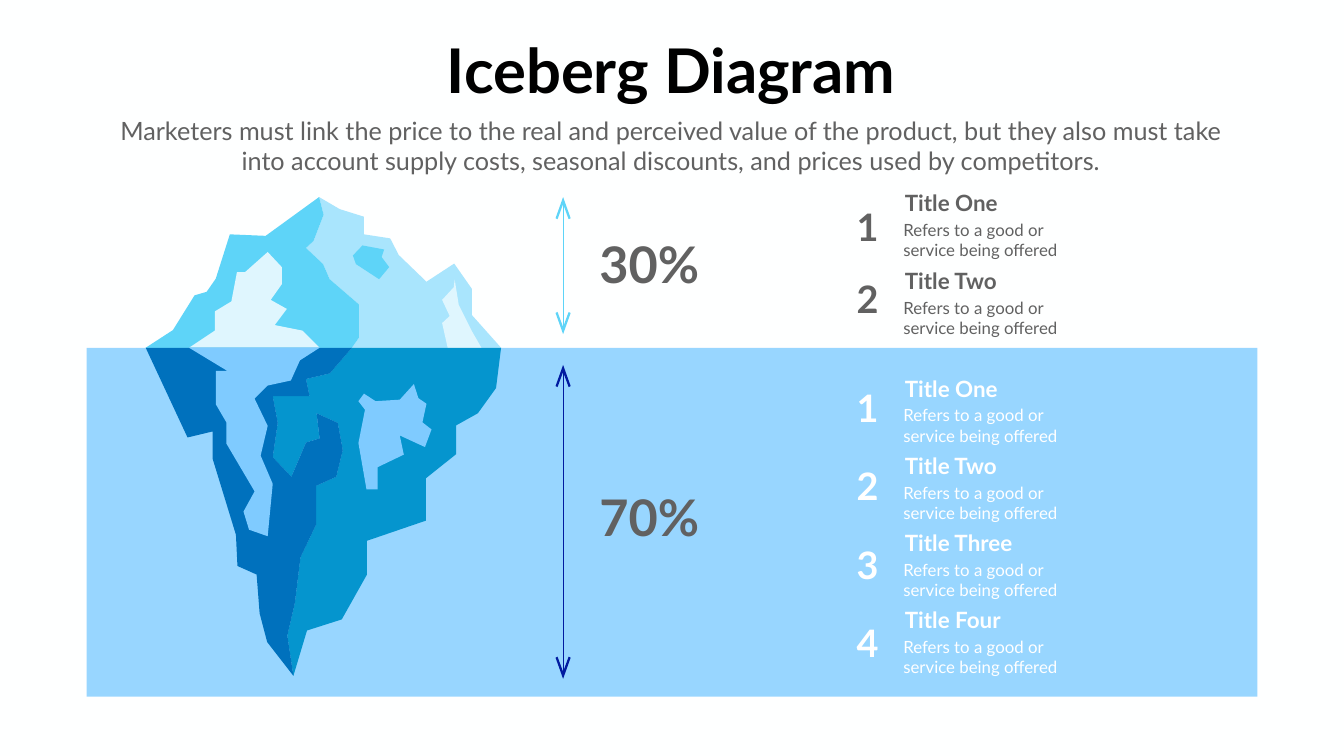
"""Build an iceberg diagram slide on a grid of 2666 columns by 1500 rows."""
from typing import NamedTuple

import pptx
import pptx.dml.color
import pptx.enum.shapes
import pptx.enum.text
import pptx.oxml.ns
import pptx.util
from lxml import etree

COLS, ROWS = 2666, 1500
CELL = pptx.util.Inches(0.01)
FONT = "Lato"
COLORS = {
    "paper": "FEFFFF", "sea": "009AFF", "ink": "000000", "grey": "616161", "white": "FFFFFF",
    "ice": "A9E5FD", "sky": "5ED4F8", "frost": "DFF6FE",
    "teal": "0595CE", "deep": "0071BD", "light": "7FCBFF", "navy": "011BA0",
}
CENTER = pptx.enum.text.PP_ALIGN.CENTER
LEFT = pptx.enum.text.PP_ALIGN.LEFT
WATER = 690
ARROW_COL = 1117


class Facet(NamedTuple):
    color: str
    points: list[tuple[int, int]]


class Span(NamedTuple):
    label: str
    top: int
    bottom: int
    color: str
    label_row: int


class Group(NamedTuple):
    titles: list[str]
    color: str
    title_row: int
    title_pitch: int
    number_row: int
    number_pitch: int


class Label(NamedTuple):
    text: str
    col: int
    row: int
    width: int
    height: int
    size: int
    color: str = "grey"
    bold: bool = True
    align: pptx.enum.text.PP_ALIGN = CENTER
    wrap: bool = True


UPPER_RIDGE = [(633, 391), (642, 426), (622, 478), (607, 492), (641, 524), (654, 554),
               (712, 604), (712, 670), (698, WATER)]
UPPER_LEFT = [(289, WATER), (343, 655), (386, 586), (410, 579), (428, 553), (456, 465), (527, 468)]
UPPER_RIGHT = [(994, WATER), (936, 625), (936, 573), (901, 523), (846, 559), (791, 506),
               (774, 473), (722, 465), (722, 430), (674, 415)]
LOWER_RIDGE = [(698, WATER), (654, 741), (607, 752), (614, 786), (541, 786), (551, 839), (541, 907),
               (578, 946), (607, 878), (634, 870), (628, 820), (670, 839), (680, 893), (667, 946),
               (627, 964), (627, 1041), (596, 1106), (585, 1196), (570, 1261), (582, 1341)]
LOWER_LEFT = [(530, 1274), (515, 1217), (509, 1140), (471, 1123), (468, 1061), (422, 911),
              (422, 856), (372, 868), (289, WATER)]
LOWER_RIGHT = [(609, 1251), (678, 1229), (728, 1140), (728, 1073), (845, 1033), (845, 949),
               (905, 901), (905, 844), (948, 820), (984, 770), (994, WATER)]
FACETS = [
    Facet("ice", UPPER_RIDGE + UPPER_RIGHT),
    Facet("sky", UPPER_RIDGE + UPPER_LEFT),
    Facet("frost", [(375, WATER), (426, 656), (426, 618), (459, 598), (470, 540), (486, 540),
                    (531, 500), (559, 530), (559, 564), (537, 595), (569, 613), (545, 645),
                    (600, 656), (634, WATER)]),
    Facet("sky", [(752, 554), (772, 530), (757, 510), (762, 495), (719, 487), (700, 507), (706, 524)]),
    Facet("frost", [(902, 555), (910, 605), (936, 657), (955, WATER), (888, WATER), (877, 641),
                    (892, 627), (877, 595), (900, 570)]),
    Facet("teal", LOWER_RIDGE + LOWER_RIGHT),
    Facet("deep", LOWER_RIDGE + LOWER_LEFT),
    Facet("light", [(375, WATER), (451, 736), (428, 736), (428, 802), (449, 838), (449, 880),
                    (505, 975), (483, 1015), (494, 1051), (531, 1064), (541, 960), (517, 904),
                    (531, 845), (505, 791), (531, 765), (577, 755), (595, 715), (634, WATER)]),
    Facet("light", [(793, 864), (801, 902), (749, 927), (749, 971), (727, 971), (711, 879),
                    (724, 813), (711, 796), (722, 781), (745, 796), (793, 793), (821, 762),
                    (830, 790), (846, 801), (838, 838), (856, 852), (843, 887)]),
]
SPANS = [Span("30%", 391, 663, "sky", 457), Span("70%", 724, 1347, "navy", 959)]
GROUPS = [
    Group(["Title One", "Title Two"], "grey", 370, 155, 400, 143),
    Group(["Title One", "Title Two", "Title Three", "Title Four"], "white", 739, 153, 759, 155),
]
BODY = "Refers to a good or\nservice being offered"
HEADINGS = [
    Label("Iceberg Diagram", 866, 58, 930, 158, 88, "ink", wrap=False),
    Label("Marketers must link the price to the real and perceived value of the product, "
          "but they also must take into account supply costs, seasonal discounts, "
          "and prices used by competitors.", 220, 224, 2221, 131, 36, bold=False),
]
HALF_HEAD = [(15, 42), (11, 44)]
NOTCH = 14


def rgb(name: str) -> pptx.dml.color.RGBColor:
    return pptx.dml.color.RGBColor.from_string(COLORS[name])


def paint(sp, color: str) -> None:
    sp.shadow.inherit = False
    sp.fill.solid()
    sp.fill.fore_color.rgb = rgb(color)
    sp.line.fill.background()


def draw_sea(s) -> None:
    sp = s.shapes.add_shape(pptx.enum.shapes.MSO_SHAPE.RECTANGLE,
                            172 * CELL, WATER * CELL, 2322 * CELL, 692 * CELL)
    paint(sp, "sea")
    srgb = next(sp.element.spPr.iter(pptx.oxml.ns.qn("a:srgbClr")))
    etree.SubElement(srgb, pptx.oxml.ns.qn("a:alpha"), val="40000")


def draw_facet(s, facet: Facet) -> None:
    builder = s.shapes.build_freeform(*facet.points[0], scale=CELL)
    builder.add_line_segments(facet.points[1:], close=True)
    paint(builder.convert_to_shape(), facet.color)


def draw_label(s, label: Label) -> None:
    sp = s.shapes.add_textbox(label.col * CELL, label.row * CELL, label.width * CELL, label.height * CELL)
    tf = sp.text_frame
    tf.word_wrap = label.wrap
    tf.auto_size = pptx.enum.text.MSO_AUTO_SIZE.SHAPE_TO_FIT_TEXT
    tf.text = label.text
    for p in tf.paragraphs:
        p.alignment = label.align
        for r in p.runs:
            r.font.name = FONT
            r.font.size = pptx.util.Pt(label.size)
            r.font.bold = label.bold
            r.font.color.rgb = rgb(label.color)


def draw_span(s, span: Span) -> None:
    x = ARROW_COL * CELL
    line = s.shapes.add_connector(pptx.enum.shapes.MSO_CONNECTOR.STRAIGHT,
                                  x, (span.top + NOTCH) * CELL, x, (span.bottom - NOTCH) * CELL)
    line.line.color.rgb = rgb(span.color)
    line.line.width = pptx.util.Pt(1.16)
    etree.SubElement(line.element.spPr, pptx.oxml.ns.qn("a:effectLst"))
    mirrored = [(-dx, dy) for dx, dy in HALF_HEAD]
    head = [(0, 0), *mirrored, (0, NOTCH), *reversed(HALF_HEAD)]
    for tip, way in ((span.top, 1), (span.bottom, -1)):
        draw_facet(s, Facet(span.color, [(ARROW_COL + dx, tip + way * dy) for dx, dy in head]))
    draw_label(s, Label(span.label, 1171, span.label_row, 234, 131, 72))


def draw_group(s, group: Group) -> None:
    for i, title in enumerate(group.titles):
        number_row = group.number_row + i * group.number_pitch
        title_row = group.title_row + i * group.title_pitch
        draw_label(s, Label(str(i + 1), 1681, number_row, 80, 101, 54, group.color))
        draw_label(s, Label(title, 1785, title_row, 243, 64, 32, group.color, align=LEFT))
        draw_label(s, Label(BODY, 1782, title_row + 60, 329, 91, 24, group.color, False, LEFT))


def main() -> None:
    prs = pptx.Presentation()
    prs.slide_width, prs.slide_height = COLS * CELL, ROWS * CELL
    s = prs.slides.add_slide(prs.slide_layouts[6])
    s.background.fill.solid()
    s.background.fill.fore_color.rgb = rgb("paper")
    draw_sea(s)
    for facet in FACETS:
        draw_facet(s, facet)
    for span in SPANS:
        draw_span(s, span)
    for heading in HEADINGS:
        draw_label(s, heading)
    for group in GROUPS:
        draw_group(s, group)
    prs.save("out.pptx")


if __name__ == "__main__":
    main()
